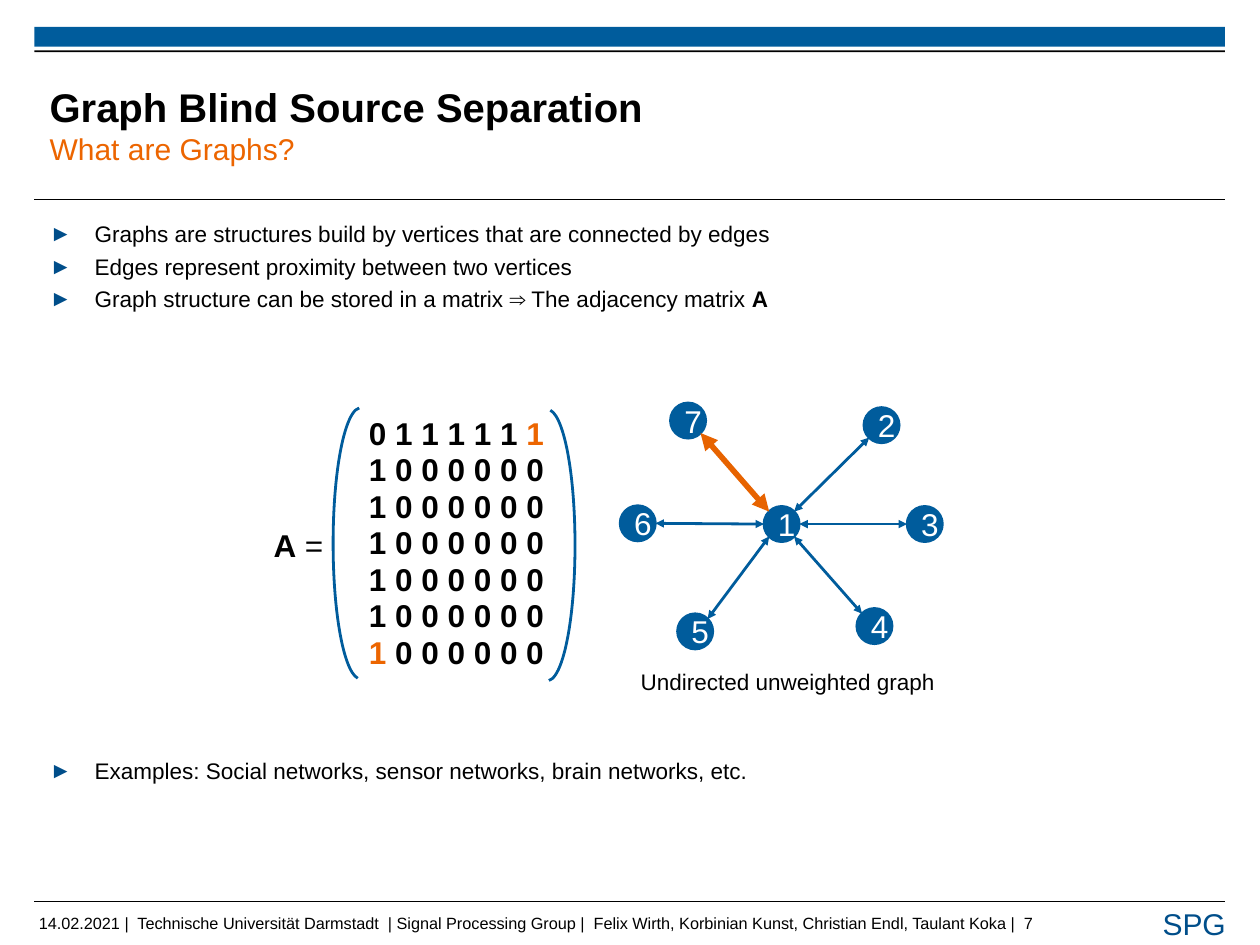
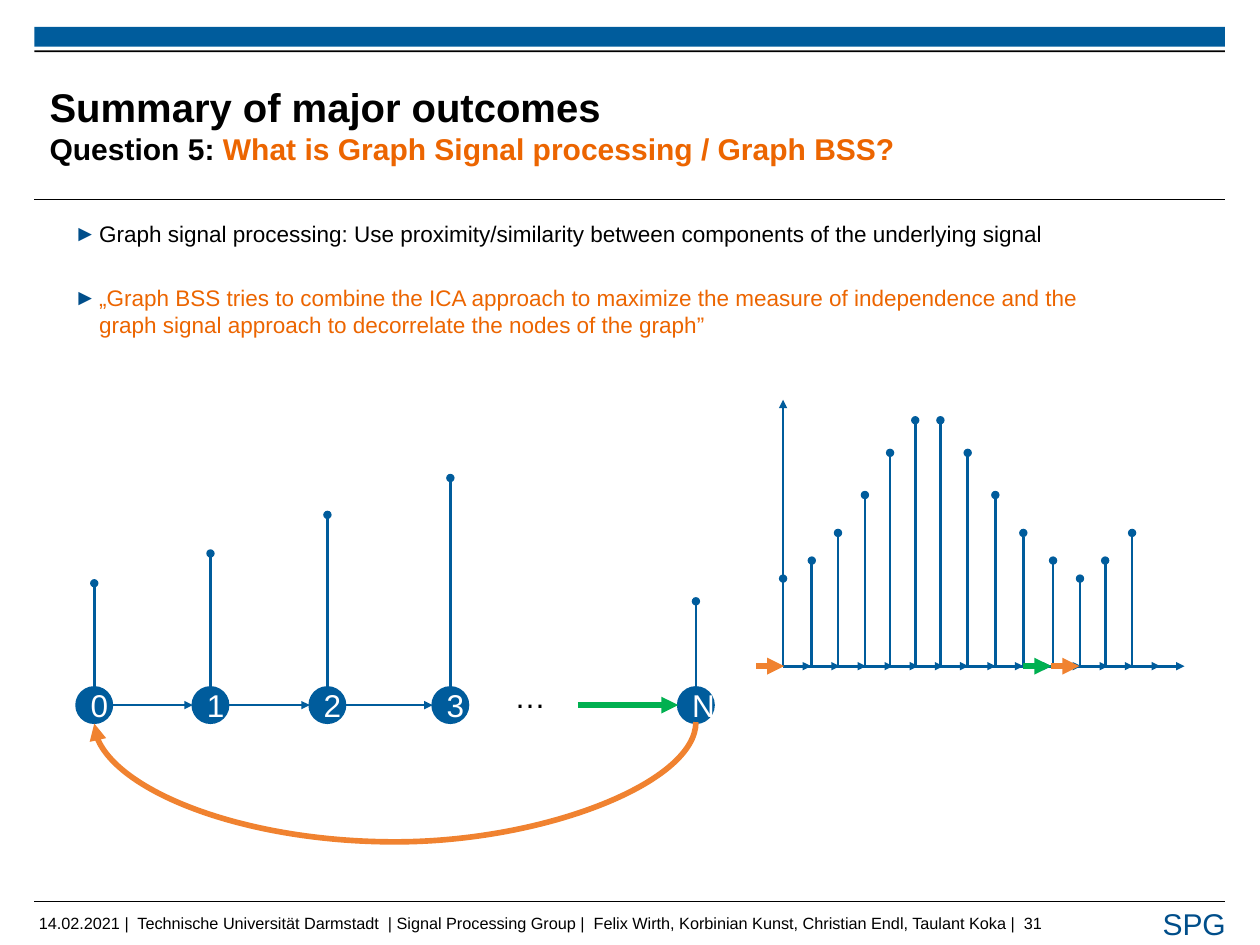
"""Build two slides on graph blind source separation."""
from lxml.etree import SubElement
from pptx import Presentation
from pptx.dml.color import RGBColor
from pptx.enum.shapes import MSO_CONNECTOR, MSO_SHAPE
from pptx.enum.text import MSO_ANCHOR, PP_ALIGN
from pptx.oxml.ns import qn
from pptx.util import Cm, Pt

COLORS = {
    "blue": "005C9C",
    "dark blue": "004E8A",
    "black": "000000",
    "white": "FFFFFF",
    "orange": "EC6500",
    "edge orange": "E76300",
    "light orange": "F08230",
    "green": "00B050",
}
FONT = "Arial"
LEFT, RIGHT = 0.97, 34.57
RADIUS = 0.5
DIAGONAL = 0.35
FOOTER = (" 14.02.2021 |  Technische Universität Darmstadt  | Signal Processing Group |"
          "  Felix Wirth, Korbinian Kunst, Christian Endl, Taulant Koka |  {}")


class Deck:
    def __init__(self):
        self.presentation = Presentation()
        self.presentation.slide_width = Cm(35.56)
        self.presentation.slide_height = Cm(26.67)
        self.slide = None

    def color(self, name):
        return RGBColor.from_string(COLORS[name])

    def add_slide(self, number, title, subtitle):
        layout = self.presentation.slide_layouts[6]
        self.slide = self.presentation.slides.add_slide(layout)
        for y in (25.43, 5.64):
            self.line((LEFT, y), (RIGHT, y), "black", 0.6)
        self.band(0.76, 0.56, "blue")
        self.band(1.42, 0.05, "black")
        self.text((LEFT, 25.78, 28.45, 0.56), [(13, [(FOOTER.format(number), "black", False)])],
                  inset=False, wrap=False)
        self.text((32.56, 25.43, 2.36, 1.27), [(24, [("SPG", "dark blue", False)])])
        frame = self.text((1.4, 1.9, 26.75, 3.25),
                          [(32, [(title, "black", True)]), (24, subtitle)], inset=False)
        frame.vertical_anchor = MSO_ANCHOR.MIDDLE

    def band(self, top, height, color):
        shape = self.slide.shapes.add_shape(
            MSO_SHAPE.RECTANGLE, Cm(LEFT), Cm(top), Cm(RIGHT - LEFT), Cm(height))
        shape.shadow.inherit = False
        shape.fill.solid()
        shape.fill.fore_color.rgb = self.color(color)
        shape.line.fill.background()

    def fill_paragraph(self, paragraph, size, parts):
        paragraph.text = parts[0][0]
        for part in parts[1:]:
            paragraph.add_run().text = part[0]
        for run, (_, color, bold) in zip(paragraph.runs, parts):
            run.font.name = FONT
            run.font.size = Pt(size)
            run.font.bold = bold
            run.font.color.rgb = self.color(color)

    def text(self, box, paragraphs, inset=True, wrap=True):
        frame = self.slide.shapes.add_textbox(*map(Cm, box)).text_frame
        frame.word_wrap = wrap
        if not inset:
            frame.margin_left = frame.margin_right = frame.margin_top = frame.margin_bottom = 0
        for index, (size, parts) in enumerate(paragraphs):
            paragraph = frame.add_paragraph() if index else frame.paragraphs[0]
            self.fill_paragraph(paragraph, size, parts)
        return frame

    def bullets(self, box, items, margin, hanging, gap=4.3):
        frame = self.text(box, [(18, parts) for parts in items], inset=False)
        for index, paragraph in enumerate(frame.paragraphs):
            paragraph.space_before = Pt(gap if index else 4.3)
            properties = paragraph._p.get_or_add_pPr()
            properties.set("marL", str(Cm(margin)))
            properties.set("indent", str(-Cm(hanging)))
            bullet_color = SubElement(properties, qn("a:buClr"))
            SubElement(bullet_color, qn("a:srgbClr"), val=COLORS["dark blue"])
            SubElement(properties, qn("a:buFont"), typeface=FONT)
            SubElement(properties, qn("a:buChar"), char="►")

    def line(self, start, end, color="blue", width=2.25, head=None, tail=None,
             kind=MSO_CONNECTOR.STRAIGHT):
        connector = self.slide.shapes.add_connector(kind, *map(Cm, (*start, *end)))
        connector.line.color.rgb = self.color(color)
        connector.line.width = Pt(width)
        outline = connector.line._get_or_add_ln()
        for tag, ending in (("a:headEnd", head), ("a:tailEnd", tail)):
            if ending:
                SubElement(outline, qn(tag), type=ending)
        SubElement(connector._element.spPr, qn("a:effectLst"))
        return connector

    def arrow(self, start, end, color="blue", width=2.25):
        self.line(start, end, color, width, tail="triangle")

    def stem(self, x, bottom, top):
        self.line((x, bottom), (x, top), tail="oval")

    def return_curve(self, right, left, y, drop):
        middle, half, thickness = (left + right) / 2, (right - left) / 2, 0.04
        connector = self.line((middle - thickness / 2, y - half), (middle + thickness / 2, y + half),
                              "light orange", 4.5, tail="triangle", kind=MSO_CONNECTOR.CURVE)
        properties = connector._element.spPr
        properties.find(qn("a:xfrm")).set("rot", "5400000")
        guides = properties.find(".//" + qn("a:avLst"))
        SubElement(guides, qn("a:gd"), name="adj1", fmla=f"val {round(drop / thickness * 100000)}")

    def node(self, label, x, y):
        shape = self.slide.shapes.add_shape(
            MSO_SHAPE.OVAL, Cm(x - RADIUS), Cm(y - RADIUS), Cm(2 * RADIUS), Cm(2 * RADIUS))
        shape.shadow.inherit = False
        shape.fill.solid()
        shape.fill.fore_color.rgb = self.color("blue")
        shape.line.color.rgb = self.color("blue")
        shape.line.width = Pt(2)
        shape.text_frame.vertical_anchor = MSO_ANCHOR.MIDDLE
        paragraph = shape.text_frame.paragraphs[0]
        paragraph.alignment = PP_ALIGN.CENTER
        self.fill_paragraph(paragraph, 25.2, [(label, "white", False)])

    def bracket(self, left, top, rotation):
        shape = self.slide.shapes.add_shape(MSO_SHAPE.ARC, Cm(left), Cm(top), Cm(1.55), Cm(7.65))
        shape.shadow.inherit = False
        shape.adjustments[0] = 162.71
        shape.adjustments[1] = 53.66
        shape.rotation = rotation
        shape.fill.background()
        shape.line.color.rgb = self.color("blue")
        shape.line.width = Pt(2.25)


def build_graph_slide(deck):
    deck.add_slide(7, "Graph Blind Source Separation", [("What are Graphs?", "orange", False)])
    deck.bullets((1.4, 6.22, 32.77, 3), [
        [("Graphs are structures build by vertices that are connected by edges", "black", False)],
        [("Edges represent proximity between two vertices", "black", False)],
        [("Graph structure can be stored in a matrix ⇒ The adjacency matrix ", "black", False),
         ("A", "black", True)],
    ], 1.27, 1.27)
    deck.bullets((1.4, 21.36, 32.77, 1), [
        [("Examples: Social networks, sensor networks, brain networks, etc.", "black", False)],
    ], 1.27, 1.27)

    hub_x, hub_y = 22.06, 14.79
    neighbours = [
        ("7", 19.42, 11.87, -1, -1), ("2", 24.88, 12, 1, -1), ("3", 26.1, 14.79, 1, 0),
        ("4", 24.68, 17.67, 1, 1), ("5", 19.62, 17.82, -1, 1), ("6", 18, 14.77, -1, 0),
    ]
    deck.node("1", hub_x, hub_y)
    for label, x, y, across, down in neighbours:
        deck.node(label, x, y)
        reach = DIAGONAL if down else RADIUS
        color, width = ("edge orange", 4.5) if label == "7" else ("blue", 2.25)
        deck.line((hub_x + across * reach, hub_y + down * reach),
                  (x - across * reach, y - down * reach),
                  color, width, head="triangle", tail="triangle")

    zeros = [("1 0 0 0 0 0 0", "black", True)]
    rows = [[("0 1 1 1 1 1 ", "black", True), ("1", "orange", True)], *[zeros] * 5,
            [("1", "orange", True), (" 0 0 0 0 0 0", "black", True)]]
    for index, row in enumerate(rows):
        deck.text((10.16, 11.56 + 1.03 * index, 5.51, 1.35), [(25.2, row)], wrap=False)
    deck.bracket(9.4, 11.51, 180)
    deck.bracket(14.68, 11.56, 0)
    deck.text((7.47, 14.73, 1.93, 1.35),
              [(25.2, [("A", "black", True), (" =", "black", False)])], wrap=False)
    deck.text((17.83, 18.72, 8.89, 1.02),
              [(18, [("Undirected unweighted graph", "black", False)])], wrap=False)


def build_summary_slide(deck):
    deck.add_slide(31, "Summary of major outcomes", [
        ("Question 5: ", "black", True),
        ("What is Graph Signal processing / Graph BSS?", "orange", True)])
    deck.bullets((1.4, 6.22, 29.57, 4), [
        [("Graph signal processing: Use proximity/similarity between components of the "
          "underlying signal", "black", False)],
        [("„Graph BSS tries to combine the ICA approach to maximize the measure of independence "
          "and the graph signal approach to decorrelate the nodes of the graph”",
          "orange", False)],
    ], 1.4, 0.71, gap=29.7)

    base, step = 18.8, 0.79
    samples = [
        (22.1, 16.33), (22.91, 15.82), (23.65, 15.04), (24.41, 13.97), (25.12, 12.78),
        (25.83, 11.86), (26.54, 11.86), (27.31, 12.78), (28.09, 13.97), (28.88, 15.04),
        (29.72, 15.82), (30.48, 16.33), (31.19, 15.82), (31.95, 15.04),
    ]
    origin = samples[0][0]
    deck.arrow((origin, base), (origin, 11.28))
    deck.arrow((origin, base), (33.43, base))
    for x, top in samples:
        deck.stem(x, base, top)
        deck.arrow((x, base), (x + step, base))
    for start, color in ((21.34, "light orange"), (28.88, "green"), (29.67, "light orange")):
        deck.arrow((start, base), (start + step, base), color, 4.5)

    node_y = 19.9
    nodes = [("0", 2.66, 16.46), ("1", 5.94, 15.62), ("2", 9.24, 14.53),
             ("3", 12.71, 13.49), ("N", 19.64, 16.97)]
    for label, x, top in nodes:
        deck.node(label, x, node_y)
        deck.stem(x, node_y - RADIUS, top)
    for (_, x, _), (_, following, _) in zip(nodes[:3], nodes[1:]):
        deck.arrow((x + RADIUS, node_y), (following - RADIUS, node_y))
    first, last = nodes[0][1], nodes[-1][1]
    deck.arrow((16.31, node_y), (last - RADIUS, node_y), "green", 4.5)
    deck.text((14.27, 18.97, 1.52, 1.35), [(25.2, [("…", "black", False)])])
    deck.return_curve(last, first, node_y + RADIUS, 3.38)


def main():
    deck = Deck()
    build_graph_slide(deck)
    build_summary_slide(deck)
    deck.presentation.save("out.pptx")


if __name__ == "__main__":
    main()
